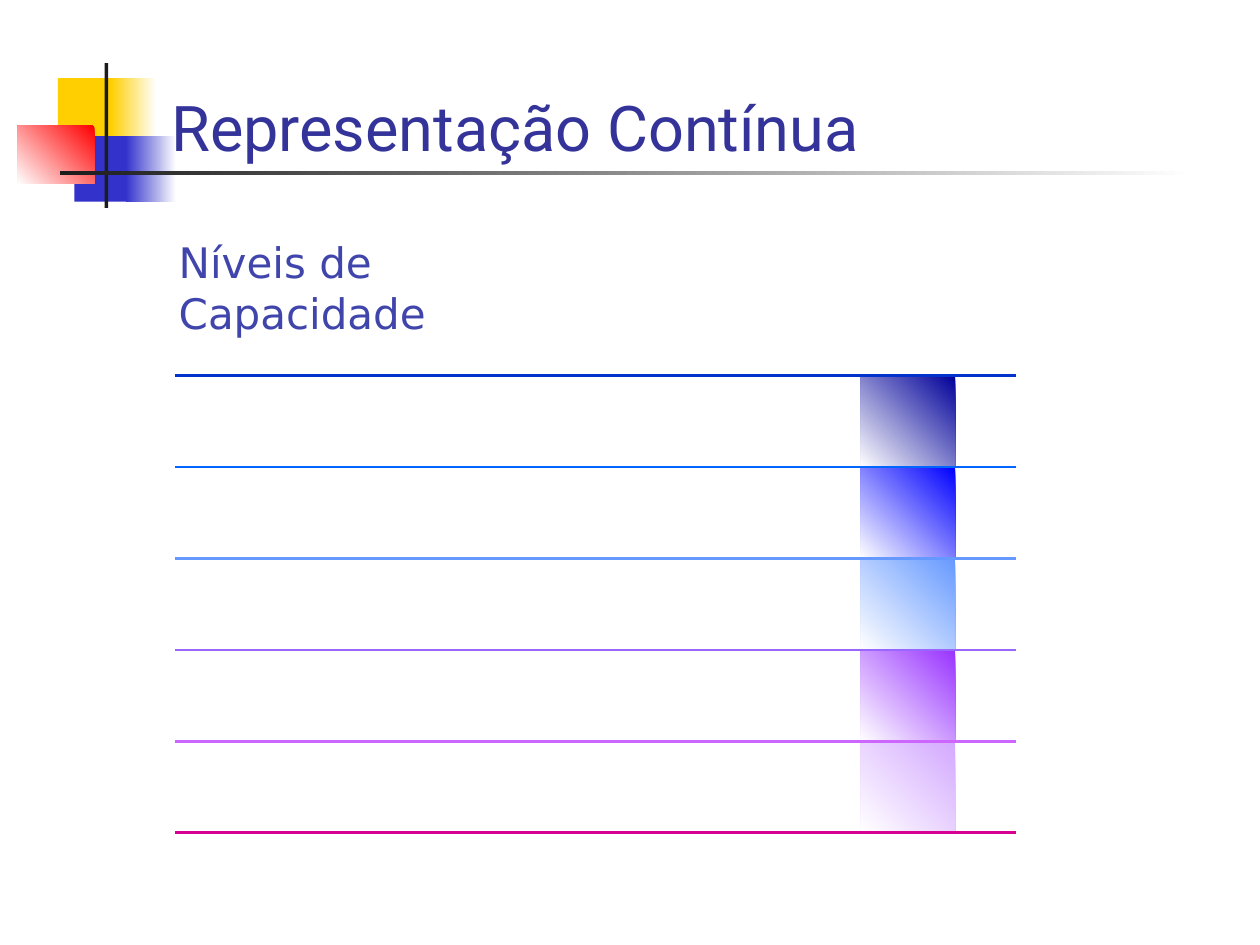
from lxml import etree
from pptx import Presentation
from pptx.dml.color import RGBColor
from pptx.enum.shapes import MSO_CONNECTOR, MSO_SHAPE
from pptx.enum.text import MSO_ANCHOR, MSO_AUTO_SIZE, PP_ALIGN
from pptx.oxml.ns import qn
from pptx.util import Inches, Pt

RECT = MSO_SHAPE.RECTANGLE
LINE = MSO_CONNECTOR.STRAIGHT
LEFT = PP_ALIGN.LEFT
TOP, BOTTOM = MSO_ANCHOR.TOP, MSO_ANCHOR.BOTTOM
FIXED = MSO_AUTO_SIZE.NONE

HUE = {
    "white": "FFFFFF", "gold": "FFCF01", "blue": "3333CC",
    "red": "FF0000", "ink": "1C1C1C", "title": "333399", "label": "4045AC",
}
# Levels from top to bottom: line above, block below
LEVELS = [
    ("0033CC", "000099"), ("0066FF", "0000FF"), ("6699FF", "6699FF"),
    ("9966FF", "9933FF"), ("CC66FF", "D4A9FF"),
]
BASE = "D60093"
FIRST, LAST = 2.98, 6.61
STEP = (LAST - FIRST) / len(LEVELS)

# Gradient angles run counter-clockwise
ACROSS, SLANT = 180, 225


def rgb(code):
    return RGBColor.from_string(code)


def add_box(slide, box, start, end=None, angle=ACROSS):
    """Rectangle with a plain fill, or a gradient when an end is given."""
    shape = slide.shapes.add_shape(RECT, *map(Inches, box))
    shape.shadow.inherit = False
    shape.line.fill.background()
    if end is None:
        shape.fill.solid()
        shape.fill.fore_color.rgb = rgb(start)
        return
    shape.fill.gradient()
    shape.fill.gradient_angle = angle
    for stop, code, place in zip(shape.fill.gradient_stops, (start, end), (0, 1)):
        stop.color.rgb = rgb(code)
        stop.position = place


def add_rule(slide, y, code):
    rule = slide.shapes.add_connector(
        LINE, Inches(1.39), Inches(y), Inches(8.06), Inches(y))
    rule.line.color.rgb = rgb(code)
    rule.line.width = Pt(1.59)
    etree.SubElement(rule.element.spPr, qn("a:effectLst"))


def set_text(shape, lines, size, font, code, anchor):
    frame = shape.text_frame
    frame.word_wrap = True
    frame.auto_size = FIXED
    frame.vertical_anchor = anchor
    para = frame.paragraphs[0]
    para.alignment = LEFT
    for i, line in enumerate(lines):
        if i:
            para.add_line_break()
        run = para.add_run()
        run.text = line
        run.font.size = Pt(size)
        run.font.name = font
        run.font.color.rgb = rgb(code)


def add_decor(slide):
    white = HUE["white"]
    add_box(slide, (0.46, 0.62, 0.48, 0.52), HUE["gold"])
    add_box(slide, (0.88, 0.62, 0.36, 0.52), white, HUE["gold"])
    add_box(slide, (0.59, 1.08, 0.46, 0.52), HUE["blue"])
    add_box(slide, (1, 1.08, 0.4, 0.52), white, HUE["blue"])
    add_box(slide, (0.14, 1, 0.61, 0.46), HUE["red"], white, SLANT)
    add_box(slide, (0.83, 0.5, 0.03, 1.15), HUE["ink"])
    add_box(slide, (0.48, 1.36, 9, 0.03), white, HUE["ink"])


def add_title(slide):
    title = slide.shapes.title
    title.left, title.top = Inches(1.26), Inches(0.21)
    title.width, title.height = Inches(8.52), Inches(1.14)
    set_text(title, ["Representação Contínua"], 36, "Roboto",
             HUE["title"], BOTTOM)
    # Bring the title in front of the decoration
    tree = title.element.getparent()
    tree.append(title.element)


def add_levels(slide):
    tops = [FIRST + i * STEP for i in range(len(LEVELS))]
    for y, (_, code) in zip(tops, LEVELS):
        add_box(slide, (6.83, y, 0.75, STEP), code, HUE["white"], SLANT)
    for y, (code, _) in zip(tops, LEVELS):
        add_rule(slide, y, code)
    add_rule(slide, LAST, BASE)


def add_label(slide):
    label = slide.shapes.add_textbox(
        Inches(1.32), Inches(1.83), Inches(3.76), Inches(0.9))
    set_text(label, ["Níveis de", "Capacidade"], 24, "DejaVu Sans",
             HUE["label"], TOP)


def main():
    deck = Presentation()
    deck.slide_width, deck.slide_height = Inches(10), Inches(7.5)
    slide = deck.slides.add_slide(deck.slide_layouts[5])
    add_decor(slide)
    add_title(slide)
    add_levels(slide)
    add_label(slide)
    deck.save("out.pptx")


if __name__ == "__main__":
    main()
